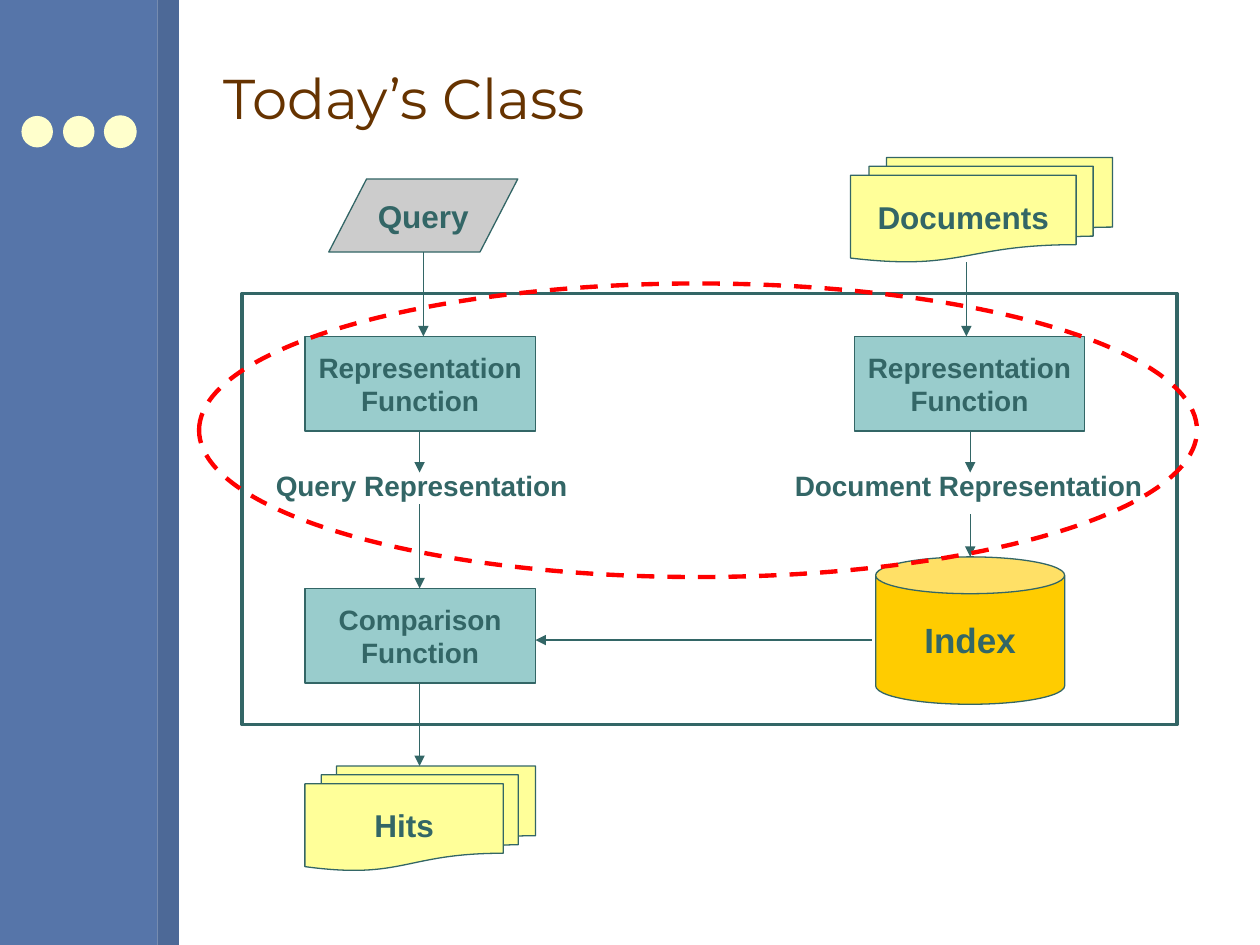
import pptx
import pptx.util
import pptx.dml.color
import pptx.enum.dml
import pptx.enum.shapes
import pptx.enum.text
import pptx.oxml

Inches = pptx.util.Inches
Kind = pptx.enum.shapes.MSO_SHAPE
Align = pptx.enum.text.PP_ALIGN
Anchor = pptx.enum.text.MSO_ANCHOR

BLUE, NAVY, CREAM = "5675A9", "4D6997", "FFFFCC"
BROWN, RED, GREY = "663300", "FF0000", "CCCCCC"
YELLOW, GOLD, TEAL = "FFFF99", "FFCC00", "99CCCC"


def color(code):
    return pptx.dml.color.RGBColor.from_string(code)


class Board:
    """Holds the diagram style and the slide being drawn."""
    ink = "336666"
    font = "Arial"
    thin = 0.75

    def __init__(self, slide):
        self.slide = slide

    def style(self, frame, size, align, code=None, font=None, bold=True):
        for para in frame.paragraphs:
            para.alignment = align
            for run in para.runs:
                run.font.size = pptx.util.Pt(size)
                run.font.name = font or self.font
                run.font.bold = bold
                run.font.color.rgb = color(code or self.ink)

    def title(self, text, x, y, w, h):
        shape = self.slide.shapes.title
        shape.left, shape.top = Inches(x), Inches(y)
        shape.width, shape.height = Inches(w), Inches(h)
        frame = shape.text_frame
        frame.text = text
        frame.vertical_anchor = Anchor.MIDDLE
        self.style(frame, 32, Align.LEFT, BROWN, "Montserrat", False)

    def shape(self, kind, x, y, w, h, fill=None, line=None, width=thin):
        shape = self.slide.shapes.add_shape(
            kind, Inches(x), Inches(y), Inches(w), Inches(h))
        shape.shadow.inherit = False
        if fill:
            shape.fill.solid()
            shape.fill.fore_color.rgb = color(fill)
        else:
            shape.fill.background()
        if line:
            shape.line.color.rgb = color(line)
            shape.line.width = pptx.util.Pt(width)
        else:
            shape.line.fill.background()
        return shape

    def node(self, text, kind, x, y, w, h, fill, size=18):
        """Draw an outlined shape with a centred label."""
        shape = self.shape(kind, x, y, w, h, fill, self.ink)
        frame = shape.text_frame
        frame.text = text
        frame.word_wrap = False
        frame.vertical_anchor = Anchor.MIDDLE
        self.style(frame, size, Align.CENTER)

    def step(self, text, x, y):
        self.node(text, Kind.RECTANGLE, x, y, 1.83, 0.75, TEAL, 16)

    def label(self, text, x, y, w):
        box = self.slide.shapes.add_textbox(
            Inches(x), Inches(y), Inches(w), Inches(0.37))
        frame = box.text_frame
        frame.text = text
        frame.word_wrap = False
        frame.auto_size = pptx.enum.text.MSO_AUTO_SIZE.SHAPE_TO_FIT_TEXT
        self.style(frame, 16, Align.LEFT)

    def arrow(self, x1, y1, x2, y2):
        link = self.slide.shapes.add_connector(
            pptx.enum.shapes.MSO_CONNECTOR.STRAIGHT,
            Inches(x1), Inches(y1), Inches(x2), Inches(y2))
        link.line.color.rgb = color(self.ink)
        link.line.width = pptx.util.Pt(self.thin)
        qn = pptx.oxml.ns.qn
        props = link._element.spPr
        line = props.find(qn("a:ln"))
        line.append(line.makeelement(qn("a:tailEnd"), {"type": "triangle"}))
        props.append(props.makeelement(qn("a:effectLst"), {}))


def main():
    deck = pptx.Presentation()
    deck.slide_width, deck.slide_height = Inches(10), Inches(7.5)
    board = Board(deck.slides.add_slide(deck.slide_layouts[5]))

    # Side band
    board.shape(Kind.RECTANGLE, 0, 0, 1.25, 7.5, BLUE)
    board.shape(Kind.RECTANGLE, 1.25, 0, 0.17, 7.5, NAVY)
    for x, line in ((0.17, None), (0.5, None), (0.83, CREAM)):
        board.shape(Kind.OVAL, x, 0.92, 0.25, 0.25, CREAM, line)

    board.title("Today’s Class", 1.67, 0.21, 8, 1.13)

    # Inputs, steps and results
    board.node("Documents", Kind.FLOWCHART_MULTIDOCUMENT,
               6.75, 1.25, 2.08, 0.83, YELLOW)
    board.node("Query", Kind.FLOWCHART_DATA, 2.61, 1.42, 1.5, 0.58, GREY)
    board.node("Hits", Kind.FLOWCHART_MULTIDOCUMENT,
               2.42, 6.08, 1.83, 0.83, YELLOW)
    for x in (2.42, 6.78):
        board.step("Representation\nFunction", x, 2.67)
    board.step("Comparison\nFunction", 2.42, 4.67)
    board.label("Query Representation", 2.09, 3.67, 2.55)
    board.label("Document Representation", 6.21, 3.67, 3)
    board.node("Index", Kind.CAN, 6.95, 4.42, 1.5, 1.17, GOLD, 20)

    # Flow: downward arrows, then index to comparison
    for x, top, end in ((3.36, 2, 2.67), (3.33, 3.42, 3.75),
                        (3.33, 4, 4.67), (3.33, 5.42, 6.08),
                        (7.67, 2.08, 2.67), (7.7, 3.42, 3.75),
                        (7.7, 4.08, 4.42)):
        board.arrow(x, top, x, end)
    board.arrow(6.92, 5.08, 4.25, 5.08)

    # System frame and today's focus
    board.shape(Kind.RECTANGLE, 1.92, 2.33, 7.42, 3.42,
                line=board.ink, width=2)
    focus = board.shape(Kind.OVAL, 1.58, 2.25, 7.92, 2.33,
                        line=RED, width=2.5)
    focus.line.dash_style = pptx.enum.dml.MSO_LINE.DASH

    deck.save("out.pptx")


if __name__ == "__main__":
    main()
